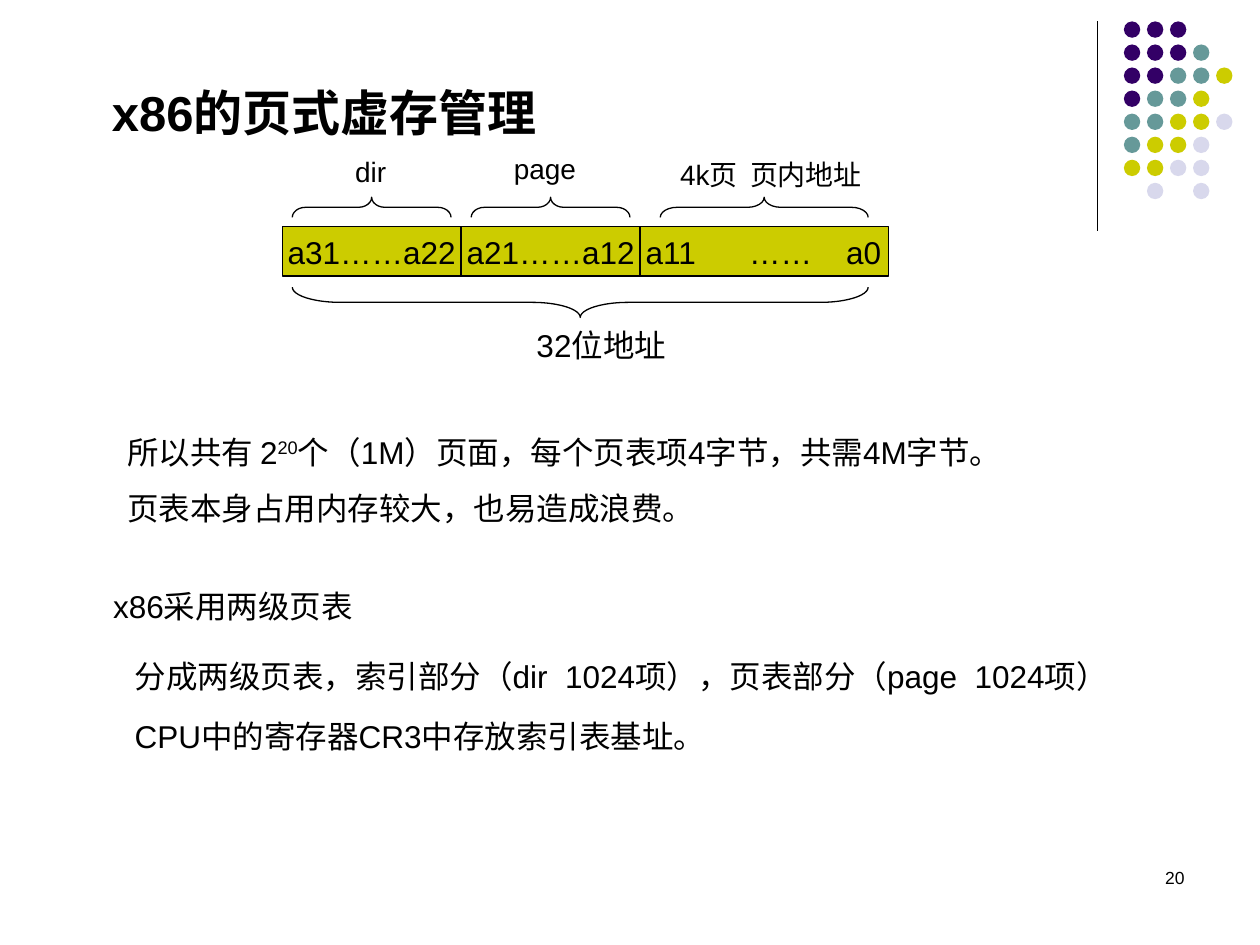
import pptx
import pptx.util
import pptx.dml.color
import pptx.enum.shapes
import pptx.enum.text
import pptx.oxml.ns
from lxml import etree

RGBColor = pptx.dml.color.RGBColor
Shape = pptx.enum.shapes.MSO_SHAPE
Align = pptx.enum.text.PP_ALIGN
Anchor = pptx.enum.text.MSO_ANCHOR
Fit = pptx.enum.text.MSO_AUTO_SIZE

BLACK = RGBColor(0x00, 0x00, 0x00)
PURPLE = RGBColor(0x33, 0x00, 0x66)
TEAL = RGBColor(0x66, 0x99, 0x99)
OLIVE = RGBColor(0xCC, 0xCC, 0x00)
LAVENDER = RGBColor(0xD8, 0xD8, 0xEC)

deck = pptx.Presentation()
deck.slide_width = pptx.util.Inches(10)
deck.slide_height = pptx.util.Inches(7.5)
page = deck.slides.add_slide(deck.slide_layouts[6])
COLUMN = deck.slide_width / 100
ROW = deck.slide_height / 75


def place(left, top, width, height):
    return [round(left * COLUMN), round(top * ROW), round(width * COLUMN), round(height * ROW)]


def write(box, lines, size, frame_format, para_format, bold=False):
    for name, value in frame_format.items():
        setattr(box.text_frame, name, value)
    for index, line in enumerate(lines):
        para = box.text_frame.paragraphs[0] if index == 0 else box.text_frame.add_paragraph()
        for name, value in para_format.items():
            setattr(para, name, value)
        for position, words in enumerate(line.split("^")):
            span = para.add_run()
            span.text = words
            font_format = {"name": "Arial", "size": pptx.util.Pt(size), "bold": bold}
            for name, value in font_format.items():
                setattr(span.font, name, value)
            span.font.color.rgb = BLACK
            if position % 2:
                span.font._element.set("baseline", "30000")


x, y, _, length = place(87.1, 1.7, 0, 16.6)
divider = page.shapes.add_connector(pptx.enum.shapes.MSO_CONNECTOR.STRAIGHT, x, y, x, y + length)
divider.line.color.rgb = BLACK
divider.line.width = pptx.util.Pt(0.75)
etree.SubElement(divider._element.spPr, pptx.oxml.ns.qn("a:effectLst"))

dot_colors = {"P": PURPLE, "T": TEAL, "O": OLIVE, "L": LAVENDER}
dot_rows = ["PPP", "PPPT", "PPTTO", "PTTO", "TTOOL", "TOOL", "OOLL", " L L"]
for row, letters in enumerate(dot_rows):
    for column, letter in enumerate(letters):
        if letter in dot_colors:
            spot = place(89.2 + 1.83 * column, 1.7 + 1.83 * row, 1.3, 1.3)
            dot = page.shapes.add_shape(Shape.OVAL, *spot)
            dot.shadow.inherit = False
            dot.fill.solid()
            dot.fill.fore_color.rgb = dot_colors[letter]
            dot.line.fill.background()

left = 22.4
for words, width, wraps, alignment in [
    ("a31……a22", 14.2, False, Align.CENTER),
    ("a21……a12", 14.2, False, Align.CENTER),
    ("a11\t……\ta0", 19.7, True, Align.LEFT),
]:
    field = page.shapes.add_shape(Shape.RECTANGLE, *place(left, 18, width, 3.9))
    field.shadow.inherit = False
    field.fill.solid()
    field.fill.fore_color.rgb = OLIVE
    field.line.color.rgb = BLACK
    field.line.width = pptx.util.Pt(0.75)
    frame_format = {"word_wrap": wraps, "vertical_anchor": Anchor.MIDDLE}
    if "\t" in words:
        frame_format.update(margin_left=round(0.45 * COLUMN), margin_right=0)
        properties = field.text_frame.paragraphs[0]._p.get_or_add_pPr()
        stops = etree.SubElement(properties, pptx.oxml.ns.qn("a:tabLst"))
        for stop in (8.2, 15.9):
            tab = etree.SubElement(stops, pptx.oxml.ns.qn("a:tab"))
            tab.set("pos", str(round(stop * COLUMN)))
            tab.set("algn", "l")
    write(field, [words], 18, frame_format, {"alignment": alignment})
    left += width

for left, top, width, height, turn, curve in [
    (23.2, 15.65, 12.6, 1.6, 270, 0.66),
    (37.4, 15.65, 12.6, 1.6, 270, 0.66),
    (52.4, 15.65, 16.5, 1.6, 270, 0.83),
    (23.2, 22.8, 45.7, 2.4, 90, 1.59),
]:
    spot = place(left + (width - height) / 2, top + (height - width) / 2, height, width)
    brace = page.shapes.add_shape(Shape.RIGHT_BRACE, *spot)
    brace.rotation = turn
    brace.adjustments[0] = curve
    brace.adjustments[1] = 0.5
    brace.shadow.inherit = False
    brace.fill.background()
    brace.line.color.rgb = BLACK
    brace.line.width = pptx.util.Pt(0.75)

for spot, size, lines, spacing in [
    ((7.9, 6.05, 37, 5.7), 28, ["x86的页式虚存管理"], 1),
    ((27.2, 11.8, 4.9, 3.7), 16, ["dir"], 1),
    ((39.8, 11.5, 7.3, 3.7), 16, ["page"], 1),
    ((53, 12.05, 17.4, 3.7), 16, ["4k页  页内地址"], 1),
    ((41.6, 25.35, 13.3, 4), 18, ["32位地址"], 1),
    ((9.1, 32.35, 76.8, 10), 18,
     ["所以共有 2^20^个（1M）页面，每个页表项4字节，共需4M字节。",
      "页表本身占用内存较大，也易造成浪费。"], 1.5),
    ((8, 46.1, 22, 4), 18, ["x86采用两级页表"], 1),
    ((9.7, 51.65, 82.4, 4), 18, ["分成两级页表，索引部分（dir  1024项），页表部分（page  1024项）"], 1),
    ((9.7, 56.4, 49.6, 4), 18, ["CPU中的寄存器CR3中存放索引表基址。"], 1),
]:
    box = page.shapes.add_textbox(*place(*spot))
    frame_format = {"word_wrap": True, "auto_size": Fit.NONE}
    write(box, lines, size, frame_format, {"line_spacing": spacing}, size == 28)

number = page.shapes.add_textbox(*place(71.7, 68.3, 23.3, 5))
write(number, ["20"], 10, {"word_wrap": True}, {"alignment": Align.RIGHT})

deck.save("out.pptx")
